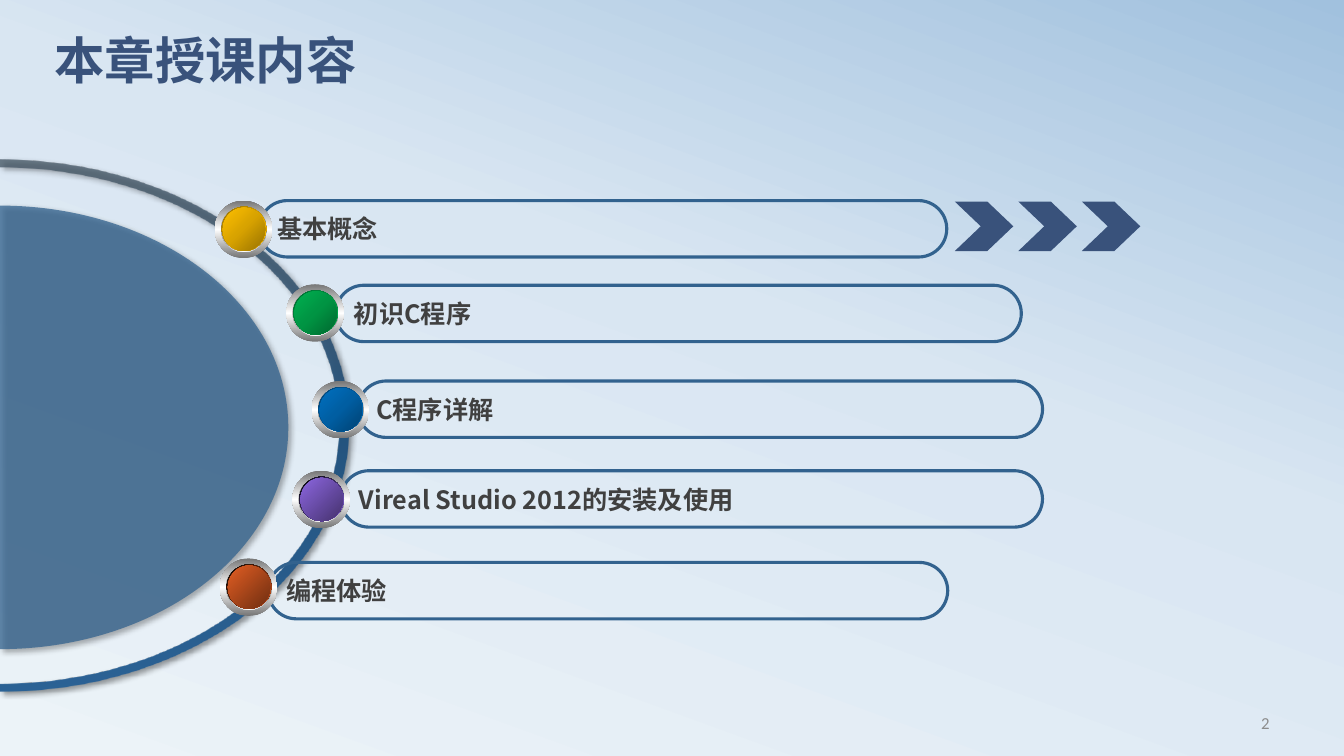
from lxml import etree
from pptx import Presentation
from pptx.dml.color import RGBColor
from pptx.enum import shapes, text
from pptx.oxml.ns import qn
from pptx.util import Inches, Pt

NAVY = RGBColor(0x39, 0x52, 0x7B)
BLUE = RGBColor(0x32, 0x62, 0x8E)
INK = RGBColor(0x40, 0x40, 0x40)
GREY = RGBColor(0x8C, 0x8C, 0x8C)
BLACK = RGBColor(0, 0, 0)
WHITE = RGBColor(0xFF, 0xFF, 0xFF)
RIM_GREY = RGBColor(0x76, 0x76, 0x76)
BEVEL_GREY = RGBColor(0xA2, 0xA2, 0xA2)
ARC_SLATE = RGBColor(0x44, 0x54, 0x62)
ARC_DEEP = RGBColor(0x24, 0x53, 0x7D)
ARC_BLUE = RGBColor(0x2B, 0x62, 0x95)
SKY_PALE = RGBColor(0xEC, 0xF3, 0xF8)
SKY_LIGHT = RGBColor(0xD9, 0xE6, 0xF2)
SKY_BLUE = RGBColor(0xA1, 0xC1, 0xDE)
YELLOWS = [RGBColor(0x97, 0x72, 0x00), RGBColor(0xD7, 0xA2, 0x00), RGBColor(0xFF, 0xC0, 0x00)]
GREENS = [RGBColor(0x00, 0x68, 0x2F), RGBColor(0x00, 0x94, 0x43), RGBColor(0x00, 0xB0, 0x50)]
BLUES = [RGBColor(0x00, 0x42, 0x72), RGBColor(0x00, 0x5E, 0xA2), RGBColor(0x00, 0x70, 0xC0)]
PURPLES = [RGBColor(0x45, 0x32, 0x6D), RGBColor(0x8D, 0x67, 0xE1)]
ORANGES = [RGBColor(0x6E, 0x2E, 0x11), RGBColor(0xE3, 0x5E, 0x23)]

# topic, bar (left, top, width), ball (left, top), shades from dark to bright
TOPICS = [
    ("基本概念", (2.57, 1.99, 6.82), (2.13, 1.99), YELLOWS),
    ("初识C程序", (3.33, 2.83, 6.8), (2.84, 2.82), GREENS),
    ("C程序详解", (3.55, 3.78, 6.79), (3.09, 3.78), BLUES),
    ("Vireal Studio 2012的安装及使用", (3.38, 4.67, 6.96), (2.9, 4.67), PURPLES),
    ("编程体验", (2.66, 5.58, 6.74), (2.18, 5.54), ORANGES),
]


def child(parent, tag, **attributes):
    return etree.SubElement(parent, qn(tag), {k: str(v) for k, v in attributes.items()})


def set_alpha(colour_element, percent):
    child(colour_element, "a:alpha", val=percent * 1000)


def paint_gradient(fill, owner, colours, angle=None, positions=None):
    """Spread colours evenly or at positions; no angle means a glow from the lower right."""
    fill.gradient()
    gradient = owner.find(".//" + qn("a:gradFill"))
    for part in list(gradient):
        gradient.remove(part)
    stops = child(gradient, "a:gsLst")
    for i, colour in enumerate(colours):
        position = positions[i] if positions else 100 * i / (len(colours) - 1)
        stop = child(stops, "a:gs", pos=int(position * 1000))
        child(stop, "a:srgbClr", val=colour)
    if angle is None:
        child(child(gradient, "a:path", path="circle"), "a:fillToRect", l=100000, t=100000)
    else:
        child(gradient, "a:lin", ang=angle * 60000, scaled=0)
    return stops


def half_ellipse(centre_y, radius_x, radius_y):
    """Two Bézier quarters about the slide's left edge, from top to bottom."""
    pull = 0.5523
    unit = [(0, -1), (pull, -1), (1, -pull), (1, 0), (1, pull), (pull, 1), (0, 1)]
    return [(Inches(radius_x * x), Inches(centre_y + radius_y * y)) for x, y in unit]


def bend(shape, curves):
    """Turn each three straight steps inside a curve into one Bézier segment."""
    steps = list(shape._element.iter(qn("a:lnTo")))
    start = 0
    for curve in curves:
        for first in range(start, start + len(curve) - 1, 3):
            segment = etree.Element(qn("a:cubicBezTo"))
            steps[first].addprevious(segment)
            for step in steps[first:first + 3]:
                segment.append(step[0])
                step.getparent().remove(step)
        start += len(curve)


def write(frame, words, size=18, font="Noto Sans CJK SC", colour=INK, bold=False,
          align=text.PP_ALIGN.LEFT, anchor=text.MSO_ANCHOR.MIDDLE, spacing=None):
    frame.word_wrap = True
    frame.vertical_anchor = anchor
    paragraph = frame.paragraphs[0]
    paragraph.alignment = align
    if spacing:
        paragraph.line_spacing = spacing
    run = paragraph.add_run()
    run.text = words
    run.font.size, run.font.name, run.font.bold = Pt(size), font, bold
    run.font.color.rgb = colour
    child(run.font._element, "a:ea", typeface="Noto Sans CJK SC")


class TopicSlide:
    def __init__(self, slide):
        self.slide = slide
        self.ball_size = 0.57
        self.bar_height = 0.56

    def background(self, colours, positions, angle):
        paint_gradient(self.slide.background.fill, self.slide._element, colours, angle, positions)

    def label(self, box, words, **style):
        frame = self.slide.shapes.add_textbox(*map(Inches, box)).text_frame
        write(frame, words, **style)

    def preset(self, kind, box):
        shape = self.slide.shapes.add_shape(kind, *map(Inches, box))
        shape.shadow.inherit = False
        shape.line.fill.background()
        return shape

    def outline(self, *curves):
        """Curves joined into a closed outline with a soft shadow."""
        points = sum(curves, [])
        builder = self.slide.shapes.build_freeform(*points[0])
        builder.add_line_segments(points[1:], close=True)
        shape = builder.convert_to_shape()
        bend(shape, curves)
        shape.line.fill.background()
        shape.shadow.inherit = False
        effects = shape._element.spPr.find(qn("a:effectLst"))
        shadow = child(effects, "a:outerShdw", blurRad=Pt(4), dist=Pt(3),
                       dir=45 * 60000, algn="tl", rotWithShape=0)
        set_alpha(child(shadow, "a:srgbClr", val=BLACK), 40)
        return shape

    def arc(self):
        outer = half_ellipse(4.22, 3.46, 2.64)
        inner = half_ellipse(4.22, 3.36, 2.56)
        band = self.outline(outer, inner[::-1])
        stops = paint_gradient(band.fill, band._element, [ARC_SLATE, ARC_DEEP, ARC_BLUE], 90)
        set_alpha(stops[0][0], 75)

    def disc(self):
        dome = self.outline(half_ellipse(4.24, 2.86, 2.2))
        dome.fill.solid()
        dome.fill.fore_color.rgb = BLUE
        set_alpha(dome._element.spPr.find(qn("a:solidFill"))[0], 75)

    def bar(self, left, top, width, words):
        pill = self.preset(shapes.MSO_SHAPE.ROUNDED_RECTANGLE, (left, top, width, self.bar_height))
        pill.adjustments[0] = 0.5
        pill.fill.background()
        pill.line.color.rgb = BLUE
        pill.line.width = Pt(2.25)
        write(pill.text_frame, words, bold=True)

    def ball(self, left, top, shades):
        if len(shades) == 3:
            edge, core, core_angle = shades, shades, None
        else:
            edge, core, core_angle = [BLACK, shades[-1]], shades[::-1], 45
        size = self.ball_size
        layers = [
            (0, 0, size, size, [RIM_GREY, WHITE, RIM_GREY], 90),
            (0.06, 0.06, 0.46, 0.45, [BEVEL_GREY, WHITE, BEVEL_GREY], 0),
            (0.07, 0.06, 0.44, 0.44, edge, 45),
            (0.08, 0.07, 0.42, 0.43, core, core_angle),
        ]
        for dx, dy, width, height, colours, angle in layers:
            layer = self.preset(shapes.MSO_SHAPE.OVAL, (left + dx, top + dy, width, height))
            paint_gradient(layer.fill, layer._element, colours, angle)

    def chevrons(self, left, top, count=3, pitch=0.63):
        for i in range(count):
            chevron = self.preset(shapes.MSO_SHAPE.CHEVRON, (left + i * pitch, top, 0.58, 0.49))
            chevron.adjustments[0] = 0.525
            chevron.fill.solid()
            chevron.fill.fore_color.rgb = NAVY


def main():
    deck = Presentation()
    deck.slide_width, deck.slide_height = Inches(13.33), Inches(7.5)
    agenda = TopicSlide(deck.slides.add_slide(deck.slide_layouts[6]))
    agenda.background([SKY_PALE, SKY_LIGHT, SKY_BLUE], [0, 58, 100], 290)
    agenda.label((9.58, 6.97, 3.11, 0.4), "2", size=12, font="Calibri", colour=GREY,
                 align=text.PP_ALIGN.RIGHT)
    agenda.label((0.44, 0.36, 12, 0.94), "本章授课内容", size=36, font="Calibri", colour=NAVY,
                 bold=True, anchor=text.MSO_ANCHOR.TOP, spacing=0.8)
    agenda.arc()
    agenda.disc()
    for topic, bar, ball, shades in TOPICS:
        agenda.bar(*bar, topic)
        agenda.ball(*ball, shades)
    agenda.chevrons(9.47, 2)
    deck.save("out.pptx")


if __name__ == "__main__":
    main()
